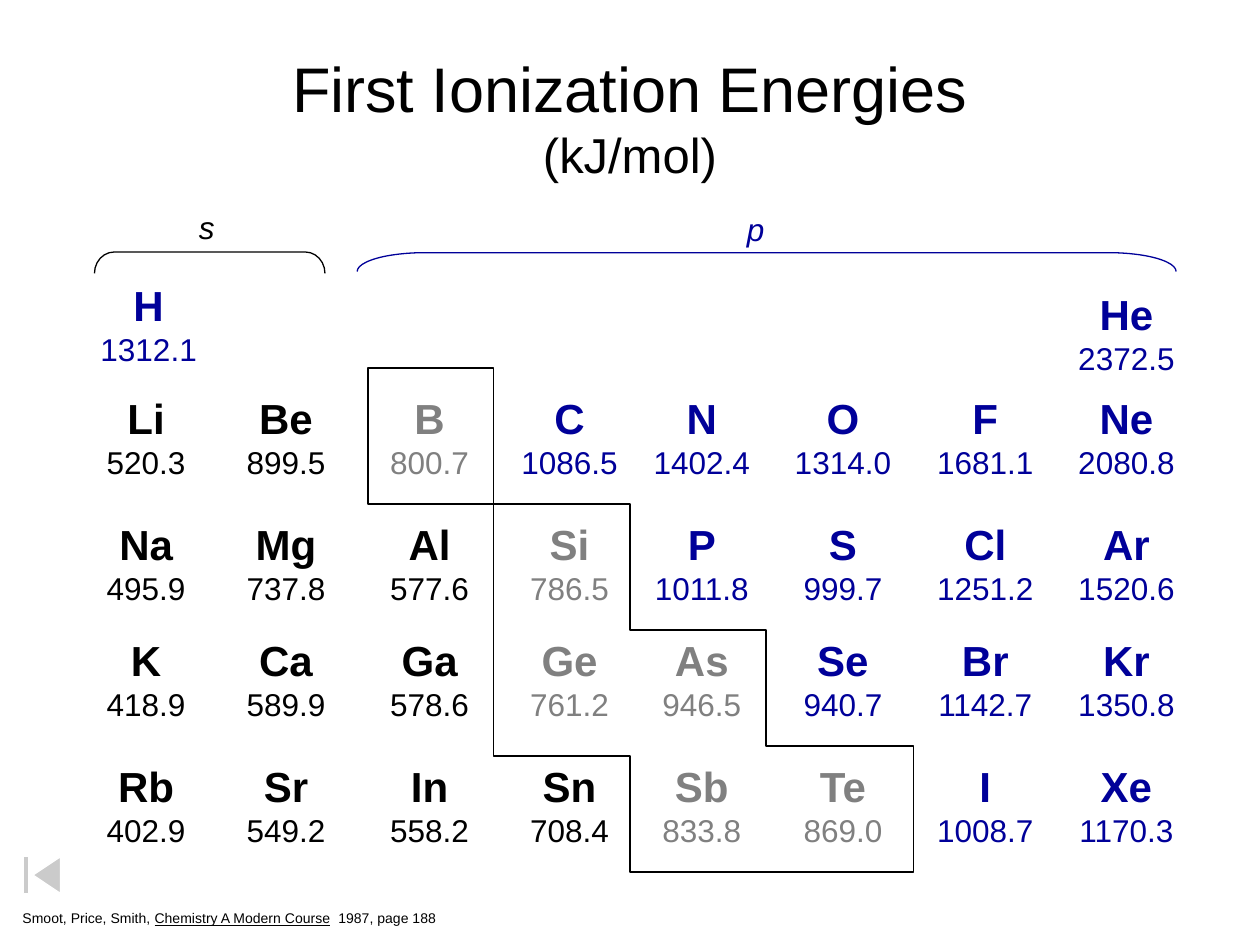
from lxml import etree
from pptx import Presentation
from pptx.dml.color import RGBColor
from pptx.enum.shapes import MSO_SHAPE as Shape
from pptx.enum.text import MSO_ANCHOR as Anchor, MSO_AUTO_SIZE as AutoSize, PP_ALIGN as Align
from pptx.oxml.ns import qn
from pptx.util import Inches, Pt

BLACK = RGBColor(0x00, 0x00, 0x00)
BLUE = RGBColor(0x00, 0x00, 0x99)
GRAY = RGBColor(0x80, 0x80, 0x80)
WHITE = RGBColor(0xFF, 0xFF, 0xFF)
FONT = "Arial"

# Content: one row per period; only periods 2 to 5 fill all eight columns
PERIODS = [
    (3.07, "Li 520.3, Be 899.5, B 800.7, C 1086.5, N 1402.4, O 1314.0, F 1681.1, Ne 2080.8"),
    (4.07, "Na 495.9, Mg 737.8, Al 577.6, Si 786.5, P 1011.8, S 999.7, Cl 1251.2, Ar 1520.6"),
    (4.99, "K 418.9, Ca 589.9, Ga 578.6, Ge 761.2, As 946.5, Se 940.7, Br 1142.7, Kr 1350.8"),
    (5.99, "Rb 402.9, Sr 549.2, In 558.2, Sn 708.4, Sb 833.8, Te 869.0, I 1008.7, Xe 1170.3"),
]
GROUP_CENTERS = [1.16, 2.27, 3.41, 4.52, 5.57, 6.69, 7.82, 8.94]
METALLOIDS = {"B", "Si", "Ge", "As", "Sb", "Te"}
METALS = {"Li", "Be", "Na", "Mg", "Al", "K", "Ca", "Ga", "Rb", "Sr", "In", "Sn"}

METALLOID_OUTLINE = [
    (2.92, 2.92), (3.92, 2.92), (3.92, 6), (5, 6), (5, 6.92), (7.25, 6.92),
    (7.25, 5.92), (6.08, 5.92), (6.08, 5), (5, 5), (5, 4), (2.92, 4),
]

# Block letter and its box, bracket box before rotation, corner ratio, colour
BLOCKS = [
    ("s", (1.48, 1.6, 0.33, 0.4), (1.58, 1.17, 0.17, 1.83), 0.917, BLACK),
    ("p", (5.83, 1.62, 0.34, 0.4), (6.01, -1.17, 0.15, 6.5), 3.586, BLUE),
]

prs = Presentation()
prs.slide_width, prs.slide_height = Inches(10), Inches(7.5)
shapes = prs.slides.add_slide(prs.slide_layouts[6]).shapes


def add_box(box, wrap=False):
    frame = shapes.add_textbox(*map(Inches, box)).text_frame
    frame.word_wrap = wrap
    frame.auto_size = AutoSize.NONE if wrap else AutoSize.SHAPE_TO_FIT_TEXT
    return frame


def add_run(paragraph, text, size, color=BLACK, bold=False, italic=False, underline=False):
    run = paragraph.add_run()
    run.text = text
    font = run.font
    font.name, font.size, font.color.rgb = FONT, Pt(size), color
    font.bold, font.italic, font.underline = bold, italic, underline


def set_line(shape, color):
    shape.shadow.inherit = False
    shape.line.color.rgb = color
    shape.line.width = Pt(0.75)


def add_element(symbol, energy, center, top):
    color = GRAY if symbol in METALLOIDS else BLACK if symbol in METALS else BLUE
    width = 0.97 if len(energy) > 5 else 0.83
    frame = add_box((center - width / 2, top, width, 0.8))
    lines = [frame.paragraphs[0], frame.add_paragraph()]
    add_run(lines[0], symbol, 24, color, bold=True)
    add_run(lines[1], energy, 18, color)
    for line in lines:
        line.alignment = Align.CENTER


# Metalloid staircase
corners = [(Inches(x), Inches(y)) for x, y in METALLOID_OUTLINE]
builder = shapes.build_freeform(*corners[0])
builder.add_line_segments(corners[1:], close=True)
staircase = builder.convert_to_shape()
staircase.fill.background()
set_line(staircase, BLACK)

# Title
title_frame = add_box((0.5, 0.3, 9, 1.25), wrap=True)
title_frame.vertical_anchor = Anchor.MIDDLE
title = title_frame.paragraphs[0]
title.alignment = Align.CENTER
add_run(title, "First Ionization Energies", 36)
title.add_line_break()
add_run(title, "(kJ/mol)", 28)

# Elements
add_element("H", "1312.1", 1.18, 2.17)
add_element("He", "2372.5", GROUP_CENTERS[-1], 2.24)
for top, period in PERIODS:
    for center, entry in zip(GROUP_CENTERS, period.split(", ")):
        add_element(*entry.split(), center, top)

# Block brackets
for letter, letter_box, bracket_box, corner, color in BLOCKS:
    add_run(add_box(letter_box).paragraphs[0], letter, 18, color, italic=True)
    bracket = shapes.add_shape(Shape.RIGHT_BRACKET, *map(Inches, bracket_box))
    bracket.rotation = 270
    bracket.adjustments[0] = corner
    bracket.fill.background()
    set_line(bracket, color)

# Source
citation = add_box((0.08, 7.17, 3.5, 0.23)).paragraphs[0]
add_run(citation, "Smoot, Price, Smith, ", 8)
add_run(citation, "Chemistry A Modern Course", 8, underline=True)
add_run(citation, "  1987, page 188", 8)

# Back-to-start button, half transparent
button = shapes.add_shape(Shape.ACTION_BUTTON_BEGINNING, *map(Inches, (0, 6.75, 0.67, 0.39)))
button.fill.solid()
button.fill.fore_color.rgb = WHITE
set_line(button, WHITE)
fill_color = button.fill._xPr.find(qn("a:solidFill"))[0]
etree.SubElement(fill_color, qn("a:alpha"), val="50000")

prs.save("out.pptx")
